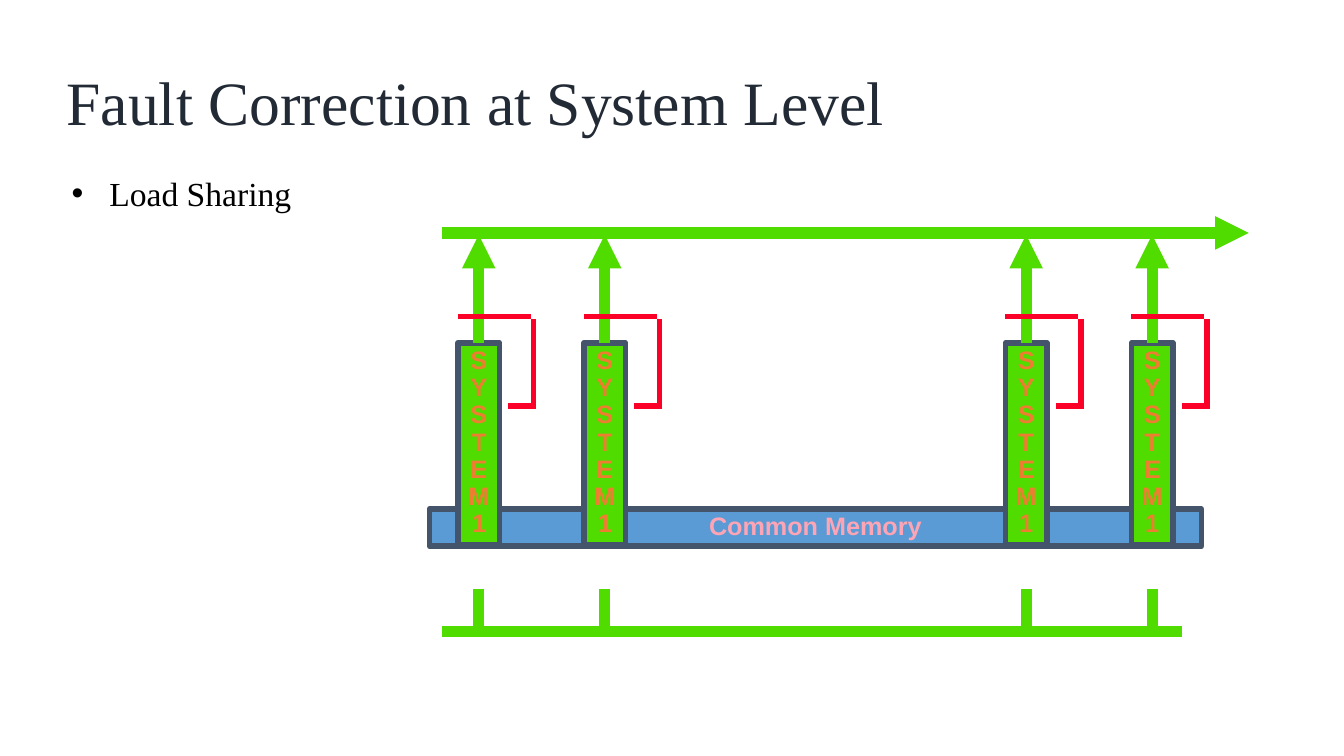
"""Build the slide on load sharing between systems with a common memory."""
import pptx
import pptx.dml.color
import pptx.enum.shapes
import pptx.enum.text
import pptx.oxml
import pptx.oxml.ns
import pptx.util

Pt = pptx.util.Pt
RGBColor = pptx.dml.color.RGBColor
PP_ALIGN = pptx.enum.text.PP_ALIGN
MSO_ANCHOR = pptx.enum.text.MSO_ANCHOR

NAVY = RGBColor(0x22, 0x2A, 0x35)
BLACK = RGBColor(0x00, 0x00, 0x00)
GREEN = RGBColor(0x51, 0xDC, 0x00)
RED = RGBColor(0xFC, 0x01, 0x28)
BLUE = RGBColor(0x5B, 0x9B, 0xD5)
SLATE = RGBColor(0x44, 0x54, 0x6A)
ORANGE = RGBColor(0xED, 0x7D, 0x31)
PINK = RGBColor(0xFD, 0xA4, 0xB5)

SYSTEM_CENTERS = (342, 432, 733, 823)
SYSTEM_TOP = 244.8
SYSTEM_WIDTH = 29.6
OUTPUT_BUS_Y = 166.4
INPUT_BUS_Y = 450.8
BUS_LEFT = 316


def add_run(paragraph, text, size, font_name, color, bold=False):
    """Append a formatted run to a paragraph."""
    run = paragraph.add_run()
    run.text = text
    run.font.size = Pt(size)
    run.font.name = font_name
    run.font.bold = bold
    run.font.color.rgb = color


def add_text(slide, left, top, width, height, text, size, color):
    """Add a one-line text box and return its shape."""
    shape = slide.shapes.add_textbox(Pt(left), Pt(top), Pt(width), Pt(height))
    shape.text_frame.word_wrap = True
    add_run(shape.text_frame.paragraphs[0], text, size, "Times New Roman", color)
    return shape


def add_title(slide, text):
    """Add the slide title."""
    frame = add_text(slide, 44, 49.7, 677, 51, text, 44, NAVY).text_frame
    frame.margin_left = frame.margin_right = Pt(3.6)
    frame.margin_top = frame.margin_bottom = Pt(1.4)
    frame.vertical_anchor = MSO_ANCHOR.MIDDLE
    frame.paragraphs[0].line_spacing = 0.9


def add_bullet(slide, text):
    """Add a bulleted line with a hanging indent."""
    frame = add_text(slide, 44, 120.2, 173, 36, text, 24, BLACK).text_frame
    frame.word_wrap = False
    properties = frame.paragraphs[0]._p.get_or_add_pPr()
    properties.set("marL", str(Pt(27)))
    properties.set("indent", str(-Pt(27)))
    namespace = pptx.oxml.ns.nsdecls("a")
    properties.append(pptx.oxml.parse_xml(f'<a:buFont {namespace} typeface="Arial"/>'))
    properties.append(pptx.oxml.parse_xml(f'<a:buChar {namespace} char="•"/>'))


def add_block(slide, left, top, width, height, lines, fill, text_color, wrap):
    """Add an outlined rectangle with one centred paragraph per line."""
    shape = slide.shapes.add_shape(
        pptx.enum.shapes.MSO_SHAPE.RECTANGLE, Pt(left), Pt(top), Pt(width), Pt(height))
    shape.shadow.inherit = False
    shape.fill.solid()
    shape.fill.fore_color.rgb = fill
    shape.line.color.rgb = SLATE
    shape.line.width = Pt(4)
    frame = shape.text_frame
    frame.word_wrap = wrap
    frame.vertical_anchor = MSO_ANCHOR.TOP
    for index, line in enumerate(lines):
        paragraph = frame.add_paragraph() if index else frame.paragraphs[0]
        paragraph.alignment = PP_ALIGN.CENTER
        paragraph.line_spacing = 0.9
        add_run(paragraph, line, 18, "Arial", text_color, bold=True)
    return shape


def add_line(slide, start, end, color, width, arrow=False):
    """Add a straight connector, with an arrowhead at its end if asked."""
    connector = slide.shapes.add_connector(
        pptx.enum.shapes.MSO_CONNECTOR.STRAIGHT,
        Pt(start[0]), Pt(start[1]), Pt(end[0]), Pt(end[1]))
    connector.line.color.rgb = color
    connector.line.width = Pt(width)
    namespace = pptx.oxml.ns.nsdecls("a")
    if arrow:
        connector.line._get_or_add_ln().append(
            pptx.oxml.parse_xml(f'<a:tailEnd {namespace} type="triangle"/>'))
    connector._element.spPr.append(pptx.oxml.parse_xml(f"<a:effectLst {namespace}/>"))
    return connector


def add_system(slide, center):
    """Add a system with its output arrow and input line."""
    system = add_block(slide, center - SYSTEM_WIDTH / 2, SYSTEM_TOP, SYSTEM_WIDTH, 144.7,
                       "SYSTEM1", GREEN, ORANGE, wrap=False)
    output = add_line(slide, (center, SYSTEM_TOP), (center, 167.8), GREEN, 8, arrow=True)
    output.begin_connect(system, 0)
    add_line(slide, (center, 420.5), (center, INPUT_BUS_Y), GREEN, 8)


def add_feedback(slide, center):
    """Add the red bracket from a system's output back to its side."""
    top, bottom, side = 226.1, 290.2, center + 39
    add_line(slide, (center - 15, top), (side - 2, top), RED, 4)
    add_line(slide, (side, top + 2), (side, bottom - 2), RED, 4)
    add_line(slide, (side + 2, bottom), (center + 21, bottom), RED, 4)


def main():
    """Build and save the presentation."""
    presentation = pptx.Presentation()
    presentation.slide_width = Pt(960)
    presentation.slide_height = Pt(540)
    slide = presentation.slides.add_slide(presentation.slide_layouts[6])
    add_title(slide, "Fault Correction at System Level")
    add_block(slide, 306.7, 363.6, 551.5, 26.6, ["Common Memory"], BLUE, PINK, wrap=True)
    for center in SYSTEM_CENTERS:
        add_system(slide, center)
    for center in SYSTEM_CENTERS:
        add_feedback(slide, center)
    add_line(slide, (BUS_LEFT, OUTPUT_BUS_Y), (892, OUTPUT_BUS_Y), GREEN, 8, arrow=True)
    add_line(slide, (BUS_LEFT, INPUT_BUS_Y), (844.6, INPUT_BUS_Y), GREEN, 8)
    add_bullet(slide, "Load Sharing")
    presentation.save("out.pptx")


if __name__ == "__main__":
    main()
